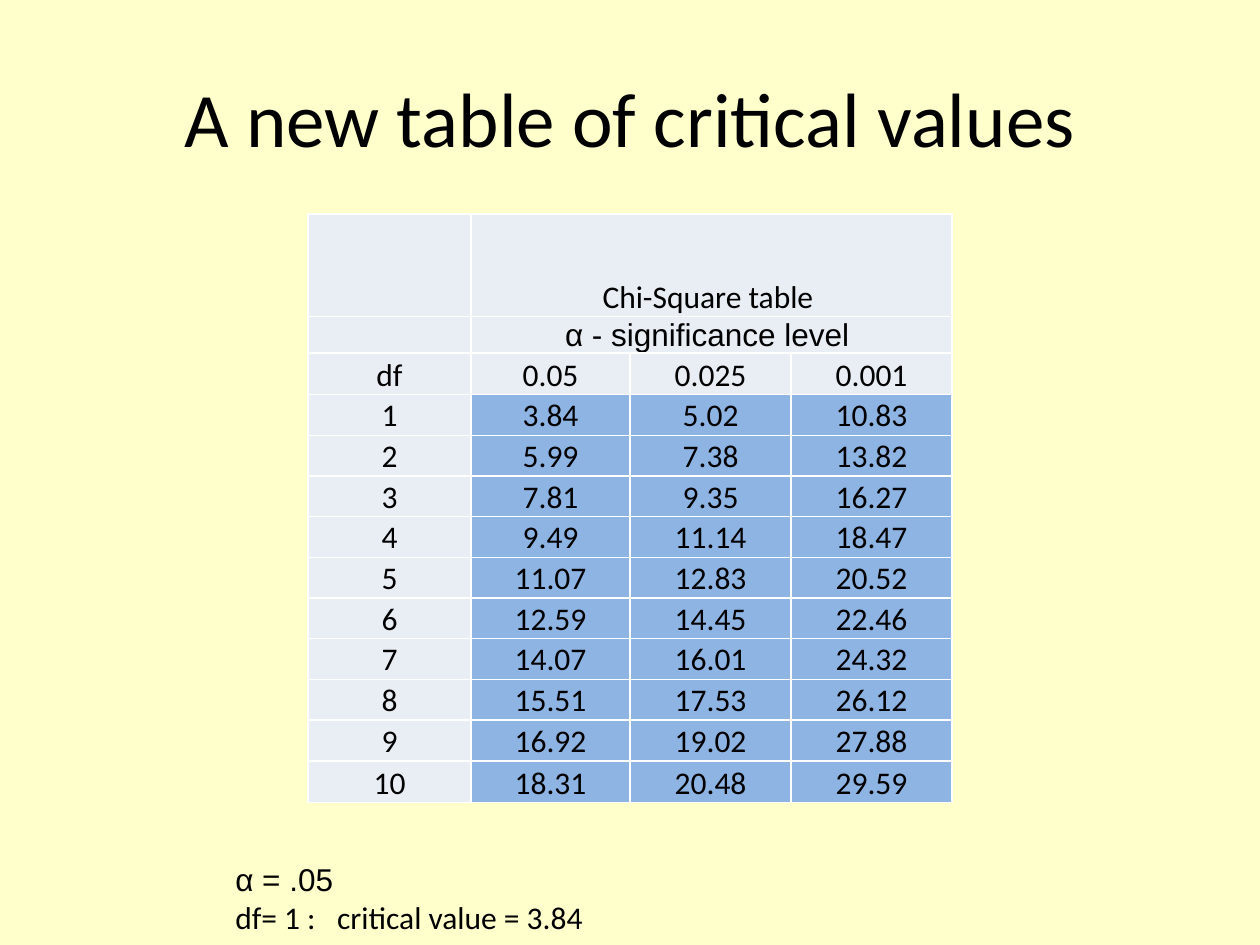
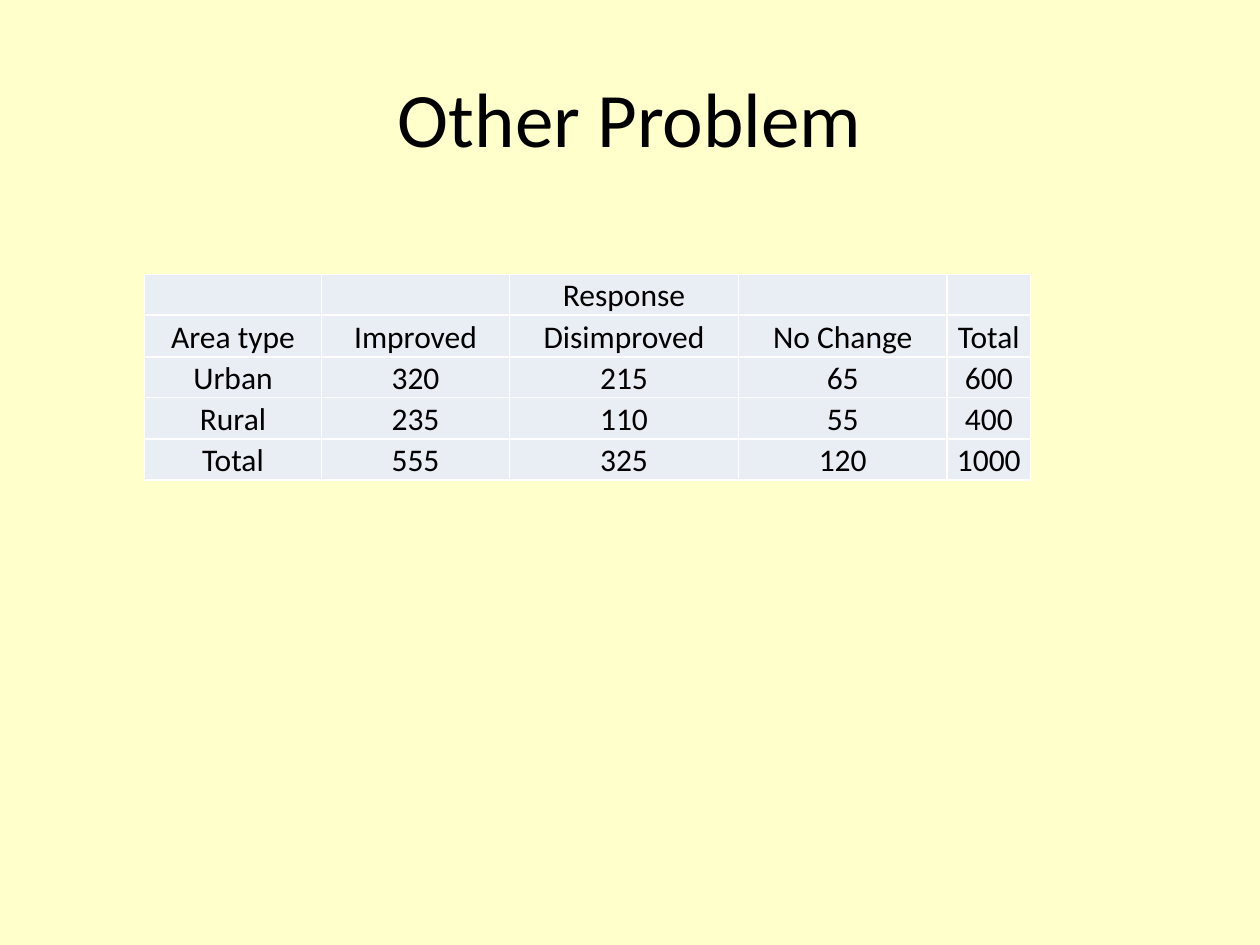
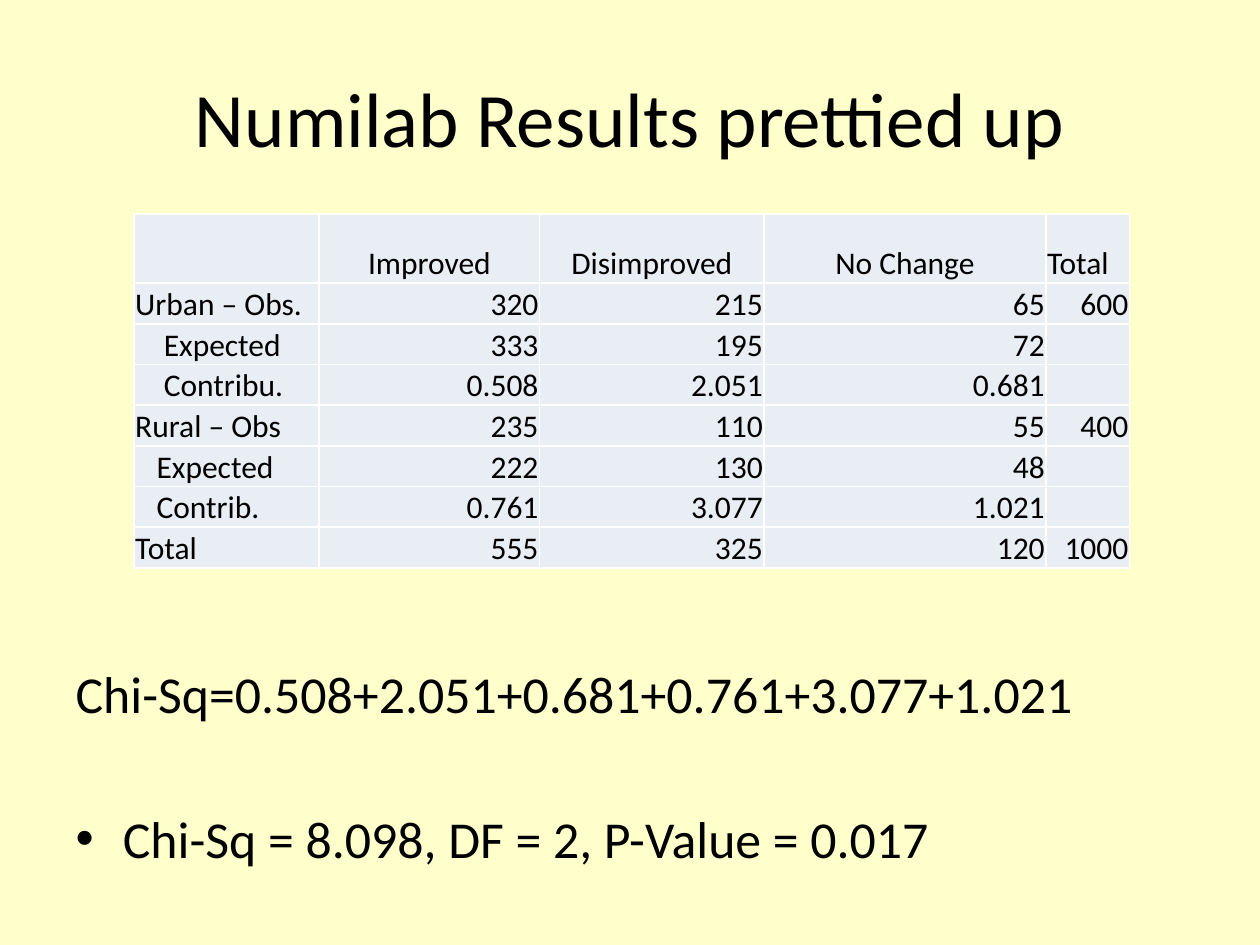
from lxml import etree
from pptx import Presentation
from pptx.dml.color import RGBColor
from pptx.enum import text as te
from pptx.oxml import ns
from pptx.util import Pt

COLORS = {"background": "FFFFCC", "ink": "000000", "label": "E9EDF4",
          "value": "8EB4E3", "border": "FFFFFF"}
LEFT, CENTER, RIGHT = te.PP_ALIGN.LEFT, te.PP_ALIGN.CENTER, te.PP_ALIGN.RIGHT
TITLE_ONLY, TITLE_AND_BODY = 5, 1
ROW = 23.25


def rgb(name):
    return RGBColor.from_string(COLORS[name])


def add_xml(parent, tag, **attributes):
    return etree.SubElement(parent, ns.qn(tag), attributes)


def write(paragraph, *parts, size=18, font="Calibri", align=LEFT, before=0,
          indent=0, hanging=0, bullet=None, gap=0):
    """Fill one paragraph; parts are set apart by a space widened by gap points."""
    paragraph.alignment = align
    paragraph.space_before = Pt(before)
    properties = paragraph._p.get_or_add_pPr()
    properties.set("marL", str(Pt(indent)))
    properties.set("indent", str(Pt(-hanging)))
    if bullet:
        add_xml(properties, "a:buChar", char=bullet)
    else:
        add_xml(properties, "a:buNone")
    if not any(parts):
        # A small end mark keeps an empty cell from stretching its row
        add_xml(paragraph._p, "a:endParaRPr", sz="800")
        return
    pieces = [(parts[0], 0)]
    for part in parts[1:]:
        pieces += [(" ", gap), (part, 0)]
    for text, spacing in pieces:
        run = paragraph.add_run()
        run.text = text
        run.font.size = Pt(size)
        run.font.name = font
        run.font.color.rgb = rgb("ink")
        if spacing:
            run._r.get_or_add_rPr().set("spc", str(round(spacing * 100)))


class Deck:
    def __init__(self):
        self.prs = Presentation()
        self.prs.slide_width, self.prs.slide_height = Pt(720), Pt(540)
        fill = self.prs.slide_master.background.fill
        fill.solid()
        fill.fore_color.rgb = rgb("background")
        self.slide = None

    def place(self, shape, left, top, width, height):
        shape.left, shape.top = Pt(left), Pt(top)
        shape.width, shape.height = Pt(width), Pt(height)

    def lines(self, frame, lines):
        """Write (parts..., format) tuples, one paragraph each."""
        for number, (*parts, style) in enumerate(lines):
            paragraph = frame.add_paragraph() if number else frame.paragraphs[0]
            write(paragraph, *parts, **style)

    def new_slide(self, title, layout=TITLE_ONLY):
        self.slide = self.prs.slides.add_slide(self.prs.slide_layouts[layout])
        heading = self.slide.shapes.title
        self.place(heading, 36, 21.6, 648, 90)
        heading.text_frame.vertical_anchor = te.MSO_ANCHOR.MIDDLE
        self.lines(heading.text_frame, [(title, dict(size=44, align=CENTER))])

    def body(self, box, lines, margin_top):
        body = self.slide.placeholders[1]
        self.place(body, *box)
        body.text_frame.auto_size = te.MSO_AUTO_SIZE.NONE
        body.text_frame.margin_top = Pt(margin_top)
        self.lines(body.text_frame, lines)

    def note(self, box, lines):
        note = self.slide.shapes.add_textbox(*map(Pt, box))
        note.text_frame.word_wrap = False
        self.lines(note.text_frame, lines)

    def table(self, left, top, widths, heights, rows, cell_format=None,
              fill=lambda row, column: "label", merged_rows=()):
        frame = self.slide.shapes.add_table(
            len(rows), len(widths), Pt(left), Pt(top), Pt(sum(widths)), Pt(sum(heights)))
        table = frame.table
        table.first_row = table.horz_banding = False
        for column, width in zip(table.columns, widths):
            column.width = Pt(width)
        for line, height in zip(table.rows, heights):
            line.height = Pt(height)
        for r, row in enumerate(rows):
            for c, text in enumerate(row):
                style = dict(align=CENTER)
                if cell_format:
                    style.update(cell_format(r, c))
                self.cell(table.cell(r, c), text, fill(r, c), style)
        for r in merged_rows:
            table.cell(r, 1).merge(table.cell(r, len(widths) - 1))

    def cell(self, cell, text, fill, style):
        cell.margin_left = cell.margin_top = cell.margin_right = Pt(0.7)
        cell.margin_bottom = Pt(0)
        cell.vertical_anchor = te.MSO_ANCHOR.BOTTOM
        properties = cell._tc.get_or_add_tcPr()
        for side in ("a:lnL", "a:lnR", "a:lnT", "a:lnB"):
            line = add_xml(properties, side, w=str(Pt(1)))
            add_xml(add_xml(line, "a:solidFill"), "a:srgbClr", val=COLORS["border"])
        cell.fill.solid()
        cell.fill.fore_color.rgb = rgb(fill)
        write(cell.text_frame.paragraphs[0], text, **style)


def critical_values(deck):
    deck.new_slide("A new table of critical values")
    quantiles = ["3.84 5.02 10.83", "5.99 7.38 13.82", "7.81 9.35 16.27",
                 "9.49 11.14 18.47", "11.07 12.83 20.52", "12.59 14.45 22.46",
                 "14.07 16.01 24.32", "15.51 17.53 26.12", "16.92 19.02 27.88",
                 "18.31 20.48 29.59"]
    rows = [["", "Chi-Square table ", "", ""],
            ["", "α - significance level ", "", ""],
            ["df", "0.05", "0.025", "0.001"]]
    rows += [[str(df), *values.split()] for df, values in enumerate(quantiles, 1)]
    deck.table(
        176, 122.4, [93.2, 90.9, 92, 92], [58.5, 20.6, 23.8] + [ROW] * 9 + [24], rows,
        cell_format=lambda r, c: dict(font="Arial") if r == 1 else {},
        fill=lambda r, c: "value" if r > 2 and c else "label",
        merged_rows=(0, 1))
    deck.note((127.4, 488, 220.3, 51), [
        ("α = .05", dict(font="Arial")),
        ("df= 1 :", "critical value = 3.84", dict(gap=8.1))])


def other_problem(deck):
    deck.new_slide("Other Problem")
    deck.table(82.5, 156.8, [101.3, 107.4, 130.9, 119.1, 47.9],
               [23.3, 23.8, 23.3, 23.8, 23.3],
               [["", "", "Response", "", ""],
                ["Area type", "Improved", "Disimproved", "No Change", "Total"],
                ["Urban", "320", "215", "65", "600"],
                ["Rural", "235", "110", "55", "400"],
                ["Total", "555", "325", "120", "1000"]])


def results(deck):
    deck.new_slide("Numilab Results prettied up", TITLE_AND_BODY)
    deck.body((36, 126, 648, 376), [
        ("Chi-Sq=0.508+2.051+0.681+0.761+3.077+1.021", dict(size=29.6)),
        ("Chi-Sq = 8.098, DF = 2, P-Value = 0.017",
         dict(size=29.6, before=47, indent=27, hanging=27, bullet="•"))],
        margin_top=252.2)
    indents = {2: 16.3, 3: 16.3, 5: 12.2, 6: 12.2}

    def cell_format(r, c):
        if c == 0:
            return dict(align=LEFT, indent=indents.get(r, 0))
        if r == 0:
            return dict(align=LEFT if c == 4 else CENTER)
        return dict(align=RIGHT)

    deck.table(76.6, 122.4, [105.8, 126, 128.2, 161.1, 47.8], [39.4] + [ROW] * 7,
               [["", "Improved", "Disimproved", "No Change", "Total"],
                ["Urban – Obs.", "320", "215", "65", "600"],
                ["Expected", "333", "195", "72", ""],
                ["Contribu.", "0.508", "2.051", "0.681", ""],
                ["Rural – Obs", "235", "110", "55", "400"],
                ["Expected", "222", "130", "48", ""],
                ["Contrib.", "0.761", "3.077", "1.021", ""],
                ["Total", "555", "325", "120", "1000"]],
               cell_format=cell_format)


def main():
    deck = Deck()
    for build in (critical_values, other_problem, results):
        build(deck)
    deck.prs.save("out.pptx")


if __name__ == "__main__":
    main()
